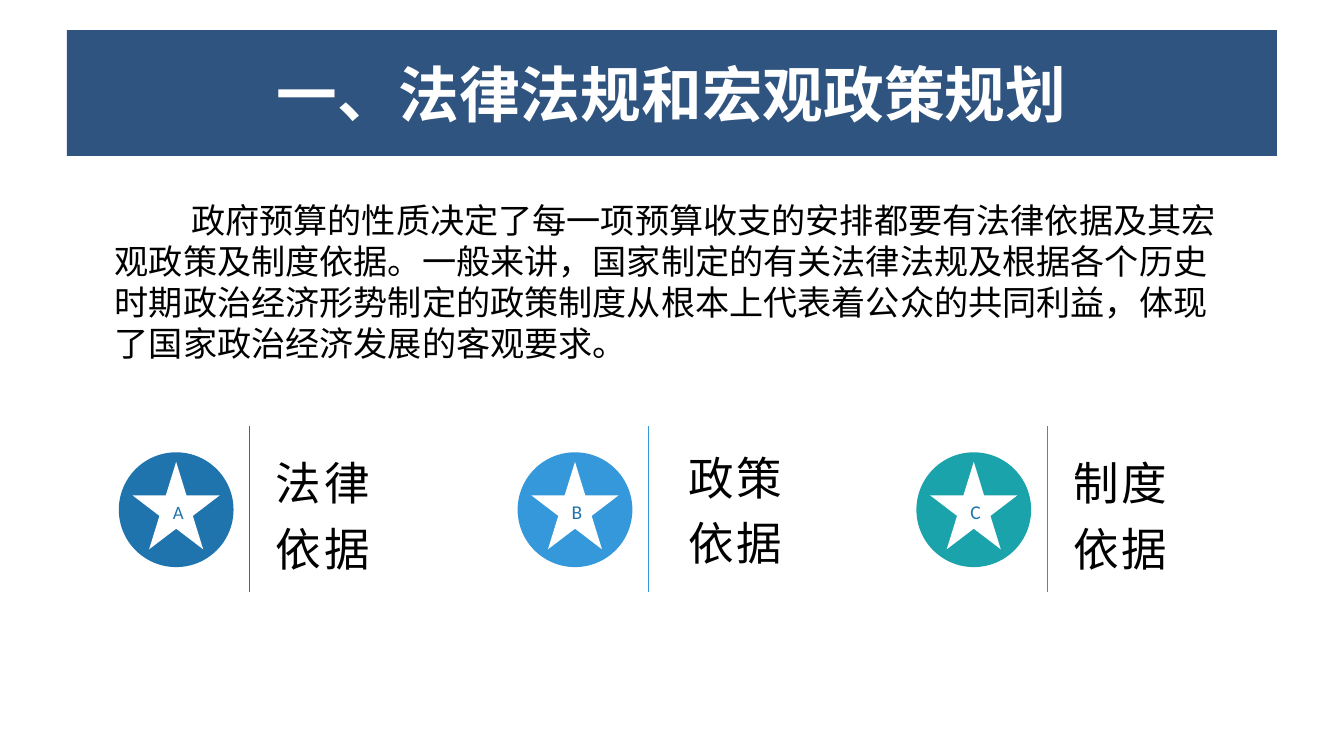
from dataclasses import dataclass

from lxml.etree import SubElement
from pptx import Presentation
from pptx.dml.color import RGBColor
from pptx.enum.shapes import MSO_CONNECTOR as Connector, MSO_SHAPE as Preset
from pptx.enum.text import MSO_ANCHOR as Anchor, MSO_AUTO_SIZE as AutoSize, PP_ALIGN as Align
from pptx.oxml.ns import qn
from pptx.util import Emu, Pt

PX = 9144  # EMU per px, 100 px to the inch


@dataclass(frozen=True)
class Theme:
    banner: str = "305480"
    white: str = "FFFFFF"
    ink: str = "000000"
    letter: str = "1F74AD"
    latin: str = "Calibri"
    chinese: str = "Noto Sans CJK SC"
    title_size: float = 32
    body_size: float = 18
    label_size: float = 24
    line_width: float = 0.5


@dataclass(frozen=True)
class Basis:
    letter: str
    letter_size: float
    label: str
    color: str
    label_left: int
    label_top: int


THEME = Theme()
TITLE = "一、法律法规和宏观政策规划"
BODY = (
    "政府预算的性质决定了每一项预算收支的安排都要有法律依据及其宏观政策及制度依据。"
    "一般来讲，国家制定的有关法律法规及根据各个历史时期政治经济形势制定的政策制度"
    "从根本上代表着公众的共同利益，体现了国家政治经济发展的客观要求。"
)
FIRST_LEFT, PITCH = 87, 292
BASES = [
    Basis("A", 9.9, "法律依据", "1F74AD", 105, 320),
    Basis("B", 10.3, "政策依据", "3498DB", 115, 316),
    Basis("C", 10.3, "制度依据", "1AA3AA", 105, 320),
]


def px(*lengths: int) -> list[Emu]:
    return [Emu(length * PX) for length in lengths]


def rgb(color: str) -> RGBColor:
    return RGBColor.from_string(color)


def place(shape, left: int, top: int, width: int, height: int) -> None:
    shape.left, shape.top, shape.width, shape.height = px(left, top, width, height)


def write(shape, text: str, size: float, font: str, color: str,
          align: Align = Align.LEFT, anchor: Anchor = Anchor.MIDDLE, bold: bool = False):
    frame = shape.text_frame
    frame.word_wrap = True
    frame.auto_size = AutoSize.NONE
    frame.vertical_anchor = anchor
    para = frame.paragraphs[0]
    para.text = text
    para.alignment = align
    para.font.size = Pt(size)
    para.font.name = font
    para.font.bold = bold
    para.font.color.rgb = rgb(color)
    return para


def add_solid(page, preset: Preset, left: int, top: int, side: int, color: str):
    shape = page.shapes.add_shape(preset, *px(left, top, side, side))
    shape.shadow.inherit = False
    shape.fill.solid()
    shape.fill.fore_color.rgb = rgb(color)
    shape.line.fill.background()
    return shape


def add_basis(page, basis: Basis, left: int) -> None:
    # Lettered star on a disc
    add_solid(page, Preset.OVAL, left, 331, 84, basis.color)
    star = add_solid(page, Preset.STAR_5_POINT, left + 10, 338, 64, THEME.white)
    write(star, basis.letter, basis.letter_size, THEME.latin, THEME.letter, Align.CENTER)

    # Divider
    divider = page.shapes.add_connector(
        Connector.STRAIGHT, *px(left + 96, 312, left + 96, 433))
    divider.line.color.rgb = rgb(basis.color)
    divider.line.width = Pt(THEME.line_width)
    SubElement(divider._element.spPr, qn("a:effectLst"))

    # Label with widened character spacing
    label = page.shapes.add_textbox(*px(left + basis.label_left, basis.label_top, 122, 106))
    para = write(label, basis.label, THEME.label_size, THEME.chinese, THEME.ink)
    para.line_spacing = 1.2
    para._p.pPr.find(qn("a:defRPr")).set("spc", "150")


def main() -> None:
    deck = Presentation()
    deck.slide_width, deck.slide_height = px(984, 551)
    page = deck.slides.add_slide(deck.slide_layouts[1])

    # Title banner
    title = page.shapes.title
    place(title, 49, 22, 886, 92)
    title.fill.solid()
    title.fill.fore_color.rgb = rgb(THEME.banner)
    write(title, TITLE, THEME.title_size, THEME.chinese, THEME.white, Align.CENTER, bold=True)

    # Introductory paragraph with a first-line indent
    body = page.placeholders[1]
    place(body, 74, 141, 841, 131)
    properties = body.text_frame.paragraphs[0]._p.get_or_add_pPr()
    properties.set("marL", "0")
    properties.set("indent", str(56 * PX))
    SubElement(properties, qn("a:buNone"))
    para = write(body, BODY, THEME.body_size, THEME.latin, THEME.ink, anchor=Anchor.TOP)
    para.space_before = Pt(0)

    # The three bases
    for index, basis in enumerate(BASES):
        add_basis(page, basis, FIRST_LEFT + index * PITCH)

    deck.save("out.pptx")


if __name__ == "__main__":
    main()
